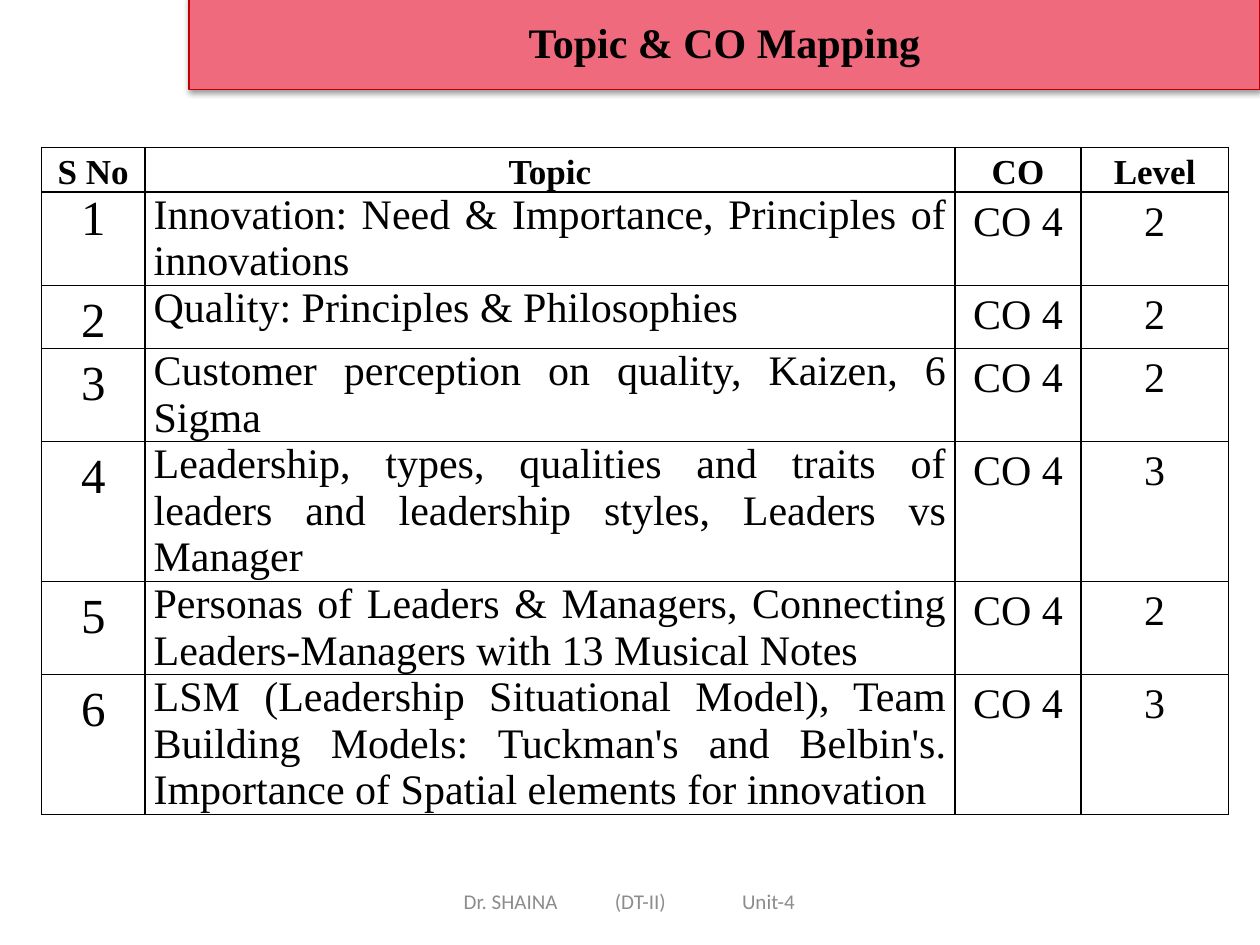
from dataclasses import dataclass

from lxml.etree import SubElement
from pptx import Presentation
from pptx.dml.color import RGBColor
from pptx.enum.text import MSO_ANCHOR, MSO_AUTO_SIZE, PP_ALIGN
from pptx.oxml import parse_xml
from pptx.oxml.ns import nsdecls, qn
from pptx.util import Inches, Pt


@dataclass(frozen=True)
class Theme:
    """Colours, fonts and type sizes of the slide."""
    ink: str = "000000"
    band: str = "F06A7D"
    edge: str = "C00000"
    muted: str = "8C8C8C"
    serif: str = "Times New Roman"
    sans: str = "Calibri"
    title: int = 24
    head: int = 20
    index: int = 28
    body: int = 24
    foot: int = 12


THEME = Theme()
WIDTH, HEIGHT = 10, 7.5
COLS = (0.82, 6.43, 1, 1.17)
HEADS = ("S No", "Topic", "CO", "Level")
TOPICS = (
    ("Innovation: Need & Importance, Principles of innovations", 2, 2),
    ("Quality: Principles & Philosophies", 2, 1),
    ("Customer perception on quality, Kaizen, 6 Sigma", 2, 2),
    ("Leadership, types, qualities and traits of leaders and leadership "
     "styles, Leaders vs Manager", 3, 3),
    ("Personas of Leaders & Managers, Connecting Leaders-Managers with "
     "13 Musical Notes", 2, 2),
    ("LSM (Leadership Situational Model), Team Building Models: Tuckman's "
     "and Belbin's. Importance of Spatial elements for innovation", 3, 3),
)


def place(shape, box):
    """Move and size a shape to a box given in inches."""
    shape.left, shape.top, shape.width, shape.height = map(Inches, box)


def write(para, text, size, align, face=THEME.serif, color=THEME.ink, bold=False):
    """Add one styled run to an aligned paragraph."""
    para.alignment = align
    run = para.add_run()
    run.text = text
    font = run.font
    font.name, font.size, font.bold = face, Pt(size), bold
    font.color.rgb = RGBColor.from_string(color)


def add_title(slide, box):
    """Turn the title placeholder into the coloured band."""
    band = slide.shapes.title
    place(band, box)
    band.fill.solid()
    band.fill.fore_color.rgb = RGBColor.from_string(THEME.band)
    band.line.color.rgb = RGBColor.from_string(THEME.edge)
    band.line.width = Pt(0.75)
    band._element.spPr.append(parse_xml(
        f'<a:effectLst {nsdecls("a")}><a:outerShdw blurRad="{Pt(3.1)}" '
        f'dist="{Pt(1.6)}" dir="5400000" rotWithShape="0">'
        f'<a:srgbClr val="{THEME.ink}"><a:alpha val="38000"/></a:srgbClr>'
        '</a:outerShdw></a:effectLst>'))
    frame = band.text_frame
    frame.vertical_anchor = MSO_ANCHOR.MIDDLE
    frame.auto_size = MSO_AUTO_SIZE.NONE
    write(frame.paragraphs[0], "Topic & CO Mapping", THEME.title,
          PP_ALIGN.CENTER, bold=True)


def rule_cell(cell):
    """Give a cell thin black borders and no fill."""
    props = cell._tc.get_or_add_tcPr()
    for side in ("lnL", "lnR", "lnT", "lnB"):
        line = SubElement(props, qn(f"a:{side}"), w=str(Pt(1)))
        fill = SubElement(line, qn("a:solidFill"))
        SubElement(fill, qn("a:srgbClr"), val=THEME.ink)
    cell.fill.background()


def fill_cell(cell, text, size, align, lead, bold):
    """Style one table cell and write its text."""
    cell.margin_left = cell.margin_right = Inches(0.07)
    cell.margin_top = cell.margin_bottom = 0
    rule_cell(cell)
    para = cell.text_frame.paragraphs[0]
    para.line_spacing = lead
    write(para, text, size, align, bold=bold)


def add_topics(slide, box):
    """Place the table of topics, outcomes and levels in a box."""
    table = slide.shapes.add_table(
        len(TOPICS) + 1, len(COLS), *map(Inches, box)).table
    table.first_row = table.horz_banding = False
    for col, share in zip(table.columns, COLS):
        col.width = Inches(box[2] * share / sum(COLS))
    table.rows[0].height = Inches(0.35)
    for cell, text in zip(table.rows[0].cells, HEADS):
        fill_cell(cell, text, THEME.head, PP_ALIGN.CENTER, 1.15, True)
    for num, (topic, level, lines) in enumerate(TOPICS, 1):
        row = table.rows[num]
        row.height = Inches(max(0.5, 0.37 * lines))
        parts = (
            (str(num), THEME.index, PP_ALIGN.CENTER, 1.0 if num == 1 else 1.15),
            (topic, THEME.body, PP_ALIGN.JUSTIFY, 1.0),
            ("CO 4", THEME.body, PP_ALIGN.CENTER, 1.15),
            (str(level), THEME.body, PP_ALIGN.CENTER, 1.15),
        )
        for cell, part in zip(row.cells, parts):
            fill_cell(cell, *part, False)


def add_footer(slide, box):
    """Place the footer with its parts set on tab stops."""
    frame = slide.shapes.add_textbox(*map(Inches, box)).text_frame
    frame.word_wrap = True
    frame.vertical_anchor = MSO_ANCHOR.MIDDLE
    frame.margin_left = Inches(0.26)
    para = frame.paragraphs[0]
    tabs = SubElement(para._p.get_or_add_pPr(), qn("a:tabLst"))
    for stop in (1.2, 2.21):
        SubElement(tabs, qn("a:tab"), pos=str(Inches(stop)), algn="l")
    write(para, "Dr. SHAINA\t(DT-II)\tUnit-4", THEME.foot, PP_ALIGN.LEFT,
          THEME.sans, THEME.muted)


def main():
    """Build and save the slide."""
    deck = Presentation()
    deck.slide_width, deck.slide_height = Inches(WIDTH), Inches(HEIGHT)
    slide = deck.slides.add_slide(deck.slide_layouts[5])
    add_title(slide, (0.15 * WIDTH, -0.04, 0.85 * WIDTH, 0.1 * HEIGHT))
    add_topics(slide, (0.33, 1.17, sum(COLS), 5.27))
    add_footer(slide, (3.42, 6.95, 3.17, 0.4))
    deck.save("out.pptx")


if __name__ == "__main__":
    main()
